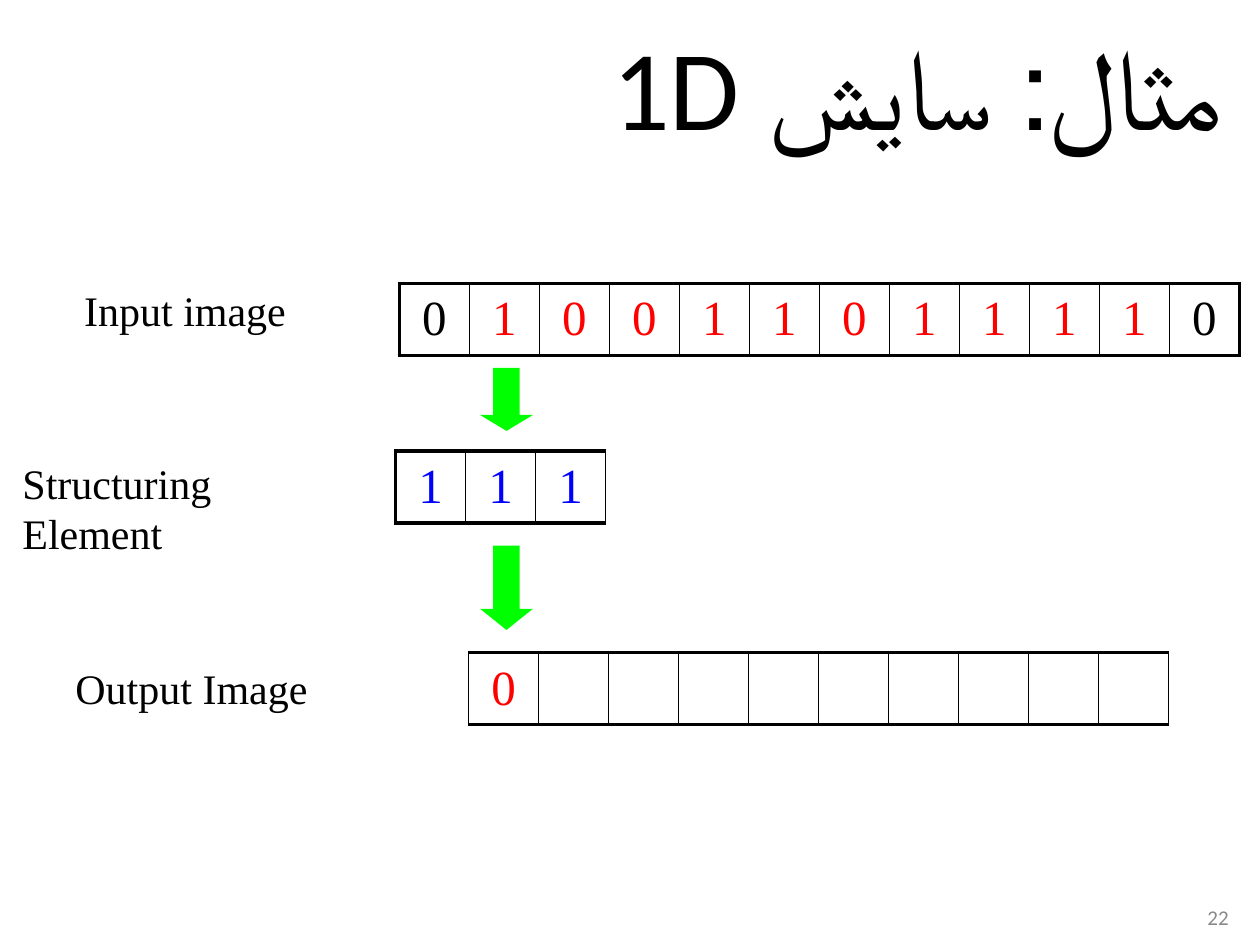
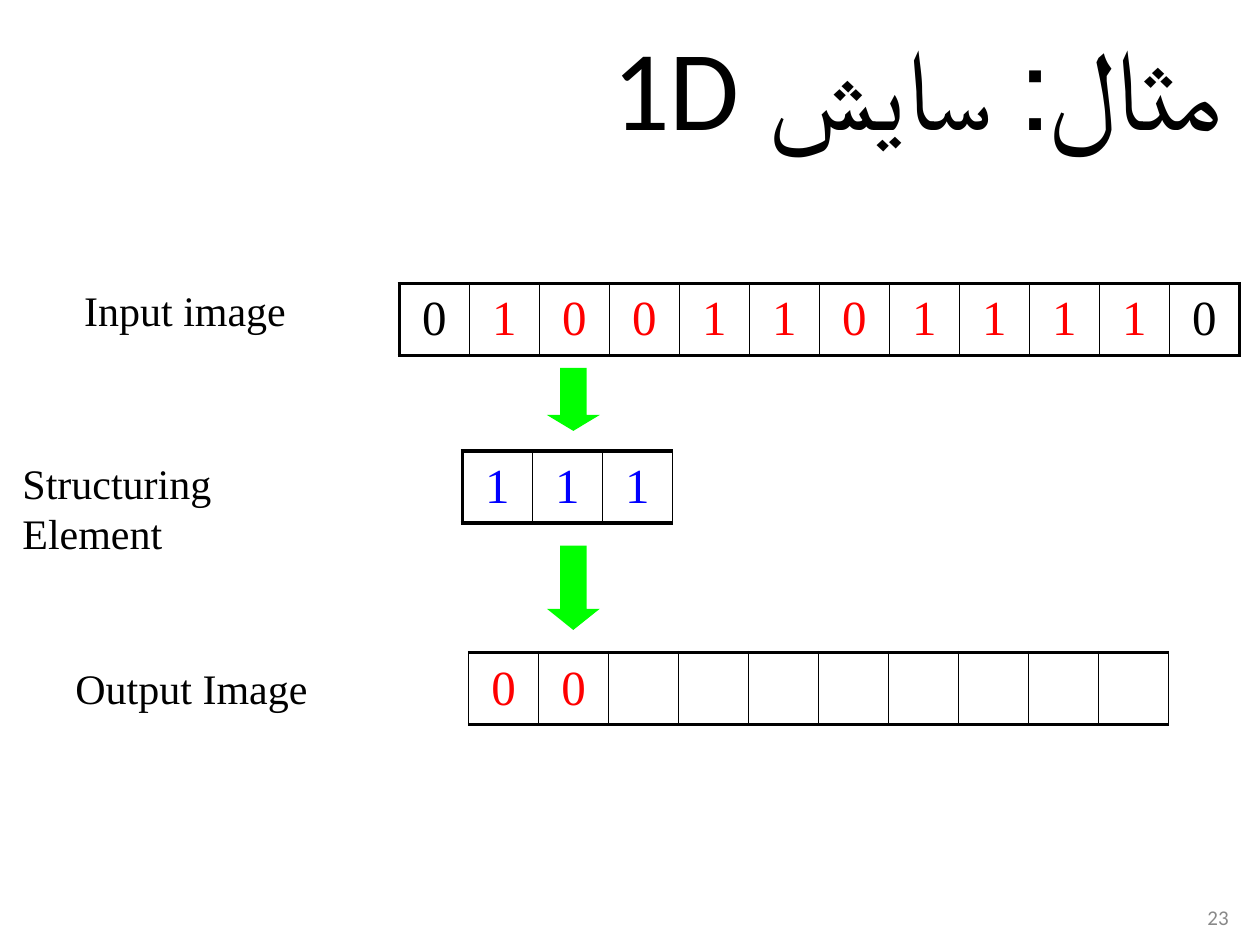
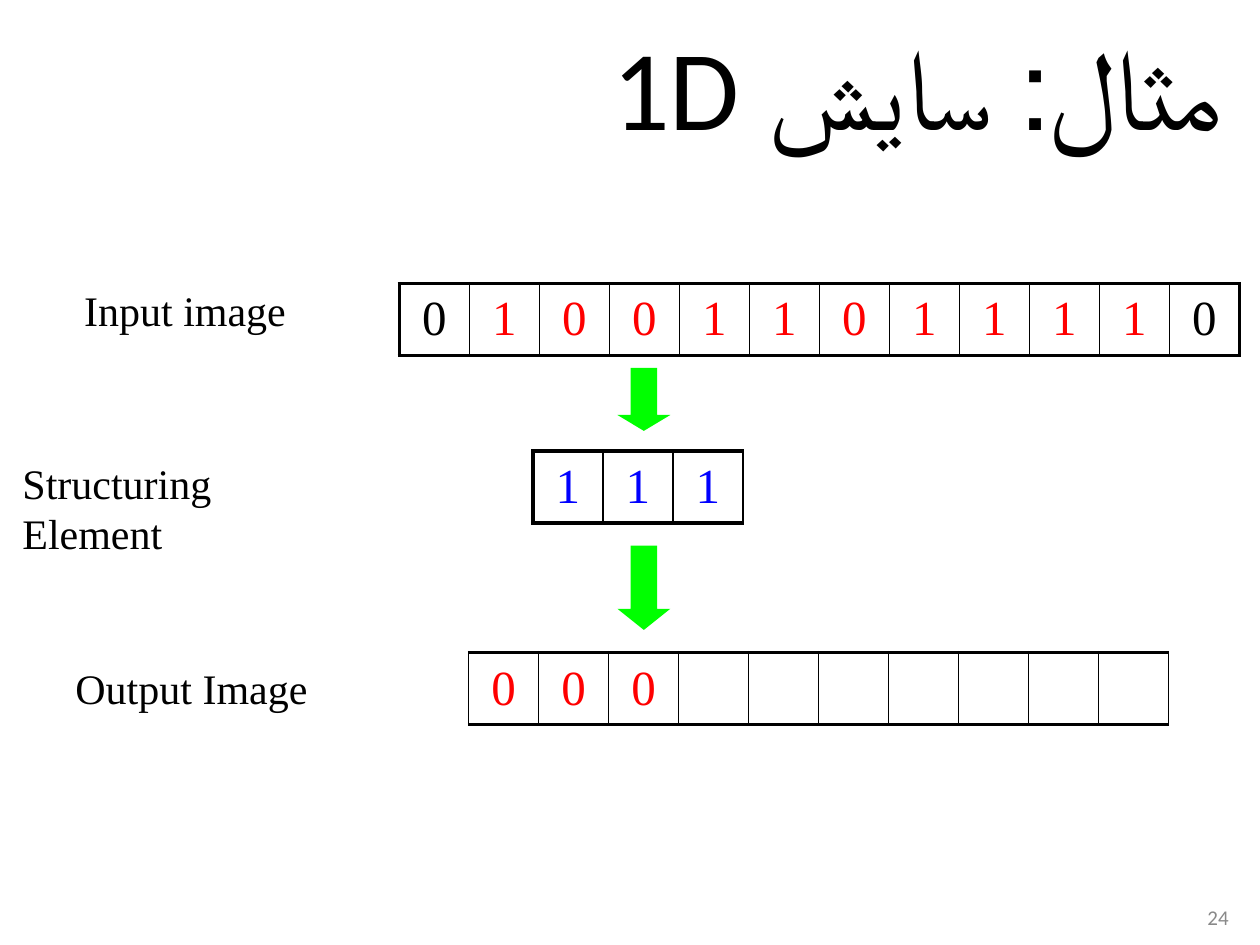
"""Build three slides that step a 1D erosion along a row of pixels."""
import pptx
import pptx.dml.color
import pptx.enum.shapes
import pptx.enum.text
import pptx.oxml
import pptx.oxml.ns
import pptx.util
from lxml import etree

Inches = pptx.util.Inches
Pt = pptx.util.Pt
ALIGN = pptx.enum.text.PP_ALIGN
MIDDLE = pptx.enum.text.MSO_ANCHOR.MIDDLE
AUTO_SIZE = pptx.enum.text.MSO_AUTO_SIZE

COLORS = {
    "text": "000000",
    "pixel": "FF0000",
    "element": "0000FF",
    "arrow": "00FF00",
    "number": "898989",
    "background": "FFFFFF",
}
SANS, SERIF = "Calibri", "Times New Roman"
TITLE_RUNS = [("مثال: ", SANS), ("سایش ", SERIF), ("1D", SANS)]
LABELS = [
    ("Input image", 0.57, 2.21, 1.8),
    ("Structuring Element", 0.08, 3.58, 2.89),
    ("Output Image", 0.5, 5.21, 2.04),
]
INPUT = [0, 1, 0, 0, 1, 1, 0, 1, 1, 1, 1, 0]
ELEMENT = [1, 1, 1]
ELEMENT_LEFTS = [3.14, 3.67, 4.23]
FIRST_NUMBER = 22
CELL_WIDTH, CELL_HEIGHT = 5 / 9, 0.57
THIN, THICK = 1, 2.25


def erode(pixels, element):
    """Return the erosion of the pixels at every full overlap."""
    size = len(element)
    windows = [pixels[start:start + size] for start in range(len(pixels) - size + 1)]
    return [int(all(pixel >= mask for pixel, mask in zip(window, element)))
            for window in windows]


class Deck:
    """Hold the shared style and the slide being built."""

    def __init__(self):
        """Start an empty presentation."""
        self.presentation = pptx.Presentation()
        self.presentation.slide_width = Inches(10)
        self.presentation.slide_height = Inches(7.5)
        self.slide = None

    def style(self, font, name, size, color):
        """Set the name, size and colour of a font."""
        font.name = name
        font.size = Pt(size)
        font.color.rgb = pptx.dml.color.RGBColor.from_string(COLORS[color])

    def add_slide(self, number):
        """Add a slide with its title and number."""
        self.slide = self.presentation.slides.add_slide(self.presentation.slide_layouts[5])
        self.title()
        box = self.text(str(number), 7.52, 7.08, 2.33, 0.4, SANS, 12, "number")
        box.text_frame.word_wrap = True
        box.text_frame.vertical_anchor = MIDDLE
        box.text_frame.paragraphs[0].alignment = ALIGN.RIGHT

    def title(self):
        """Place and format the right-to-left title."""
        shape = self.slide.shapes.title
        shape.left, shape.top = Inches(-0.02), Inches(0.05)
        shape.width, shape.height = Inches(10.02), Inches(1.25)
        shape.text_frame.auto_size = AUTO_SIZE.NONE
        shape.text_frame.vertical_anchor = MIDDLE
        paragraph = shape.text_frame.paragraphs[0]
        paragraph.alignment = ALIGN.JUSTIFY
        properties = paragraph._p.get_or_add_pPr()
        properties.set("rtl", "1")
        properties.set("marL", str(Inches(0.2)))
        properties.set("indent", "0")
        for text, name in TITLE_RUNS:
            run = paragraph.add_run()
            run.text = text
            self.style(run.font, name, 65, "text")

    def text(self, text, left, top, width, height, name, size, color):
        """Add a one-line text box."""
        box = self.slide.shapes.add_textbox(
            Inches(left), Inches(top), Inches(width), Inches(height))
        box.text_frame.text = text
        self.style(box.text_frame.paragraphs[0].runs[0].font, name, size, color)
        return box

    def label(self, text, left, top, width):
        """Add the label of a row."""
        box = self.text(text, left, top, width, 0.5, SERIF, 24, "text")
        box.text_frame.word_wrap = False
        box.text_frame.auto_size = AUTO_SIZE.SHAPE_TO_FIT_TEXT

    def arrow(self, left, top, height, head):
        """Add a down arrow."""
        shape = self.slide.shapes.add_shape(
            pptx.enum.shapes.MSO_SHAPE.DOWN_ARROW,
            Inches(left), Inches(top), Inches(0.42), Inches(height))
        shape.adjustments[0], shape.adjustments[1] = 0.5, head
        shape.shadow.inherit = False
        shape.fill.solid()
        shape.fill.fore_color.rgb = pptx.dml.color.RGBColor.from_string(COLORS["arrow"])
        shape.line.fill.background()

    def border(self, cell, widths):
        """Draw the left, right, top and bottom borders of a cell."""
        properties = cell._tc.get_or_add_tcPr()
        for side, width in zip("LRTB", widths):
            line = etree.SubElement(properties, pptx.oxml.ns.qn(f"a:ln{side}"), w=str(Pt(width)))
            fill = etree.SubElement(line, pptx.oxml.ns.qn("a:solidFill"))
            etree.SubElement(fill, pptx.oxml.ns.qn("a:srgbClr"), val=COLORS["text"])

    def pixel_row(self, values, left, top, colors, left_edge=THIN, right_edge=THIN):
        """Add a one-row table of pixels, where None leaves a cell empty."""
        count = len(values)
        table = self.slide.shapes.add_table(
            1, count, Inches(left), Inches(top),
            Inches(CELL_WIDTH * count), Inches(CELL_HEIGHT)).table
        table.first_row = table.horz_banding = False
        for index, (value, color) in enumerate(zip(values, colors)):
            table.columns[index].width = Inches(CELL_WIDTH)
            cell = table.cell(0, index)
            cell.vertical_anchor = MIDDLE
            self.border(cell, (left_edge if index == 0 else THIN,
                               right_edge if index == count - 1 else THIN, THICK, THICK))
            cell.fill.solid()
            cell.fill.fore_color.rgb = pptx.dml.color.RGBColor.from_string(COLORS["background"])
            if value is not None:
                cell.text_frame.text = str(value)
                paragraph = cell.text_frame.paragraphs[0]
                paragraph.alignment = ALIGN.CENTER
                self.style(paragraph.runs[0].font, SERIF, 28, color)


def main():
    """Build and save the slides."""
    deck = Deck()
    output = erode(INPUT, ELEMENT)
    input_colors = ["text"] + ["pixel"] * len(output) + ["text"]
    for step, element_left in enumerate(ELEMENT_LEFTS):
        deck.add_slide(FIRST_NUMBER + step)
        for label in LABELS:
            deck.label(*label)
        arrow_left = element_left + 0.67
        deck.arrow(arrow_left, 2.92, 0.5, 0.3)
        deck.arrow(arrow_left, 4.33, 0.67, 0.4)
        done = step + 1
        shown = output[:done] + [None] * (len(output) - done)
        deck.pixel_row(INPUT, 3.17, 2.25, input_colors, THICK, THICK)
        deck.pixel_row(ELEMENT, element_left, 3.58, ["element"] * len(ELEMENT), THICK)
        deck.pixel_row(shown, 3.72, 5.18, ["pixel"] * len(shown))
    deck.presentation.save("out.pptx")


if __name__ == "__main__":
    main()
